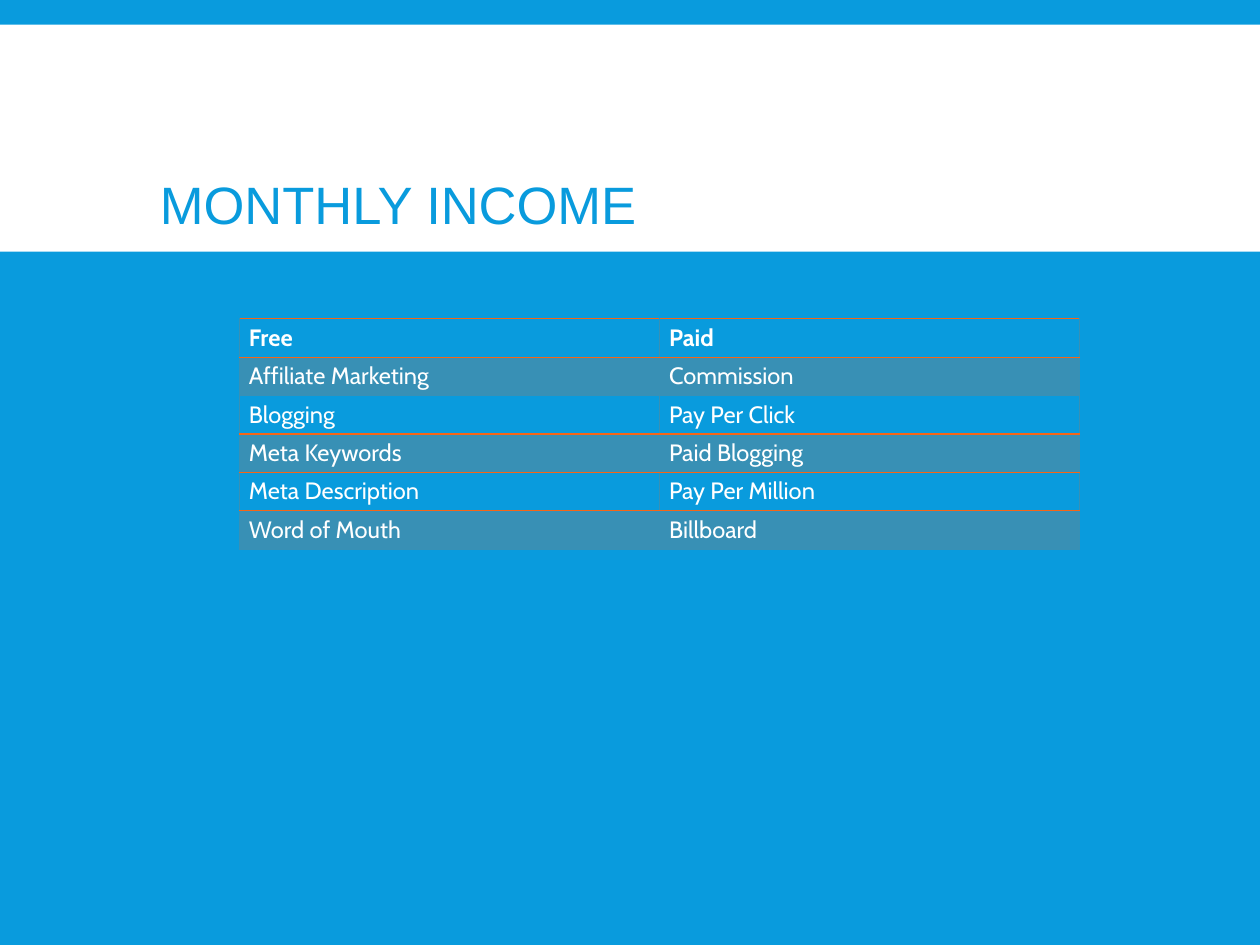
from lxml import etree
from pptx import Presentation
from pptx.dml.color import RGBColor
from pptx.enum.shapes import MSO_SHAPE
from pptx.enum.text import MSO_ANCHOR, PP_ALIGN
from pptx.oxml.ns import qn
from pptx.util import Cm, Pt

RECT = MSO_SHAPE.RECTANGLE
MIDDLE = MSO_ANCHOR.MIDDLE
LEFT = PP_ALIGN.LEFT

BLUE, WHITE, ORANGE, FAINT = "099BDD", "FFFFFF", "F56617", "3890B5"
SLIDE_W, SLIDE_H = 33.83, 25.37
ROW_H = 1.03
INCOME = [
    ("Free", "Paid"),
    ("Affiliate Marketing", "Commission"),
    ("Blogging", "Pay Per Click"),
    ("Meta Keywords", "Paid Blogging"),
    ("Meta Description", "Pay Per Million"),
    ("Word of Mouth", "Billboard"),
]
FAINT_RULES = (2, len(INCOME))


def rgb(color):
    """Turn a hex string into a colour."""
    return RGBColor.from_string(color)


def style_font(p, name, size, color, bold=False):
    """Set the font of a whole paragraph."""
    p.font.name, p.font.size, p.font.bold = name, Pt(size), bold
    p.font.color.rgb = rgb(color)


def add_border(cell, side, color, width):
    """Draw one side of a table cell."""
    ln = etree.SubElement(cell._tc.get_or_add_tcPr(), qn(f"a:ln{side}"), w=str(Pt(width)))
    fill = etree.SubElement(ln, qn("a:solidFill"))
    etree.SubElement(fill, qn("a:srgbClr"), val=color)


def fill_cell(cell, color, opacity):
    """Give a table cell a translucent fill."""
    cell.fill.solid()
    cell.fill.fore_color.rgb = rgb(color)
    clr = cell._tc.tcPr.find(".//" + qn("a:solidFill") + "/" + qn("a:srgbClr") + "[last()]")
    clr = cell._tc.tcPr.find(qn("a:solidFill")).find(qn("a:srgbClr"))
    etree.SubElement(clr, qn("a:alpha"), val=str(opacity * 1000))


def add_header(s, x, y, w, h):
    """Place the white band and the title that sits at its foot."""
    band = s.shapes.add_shape(RECT, Cm(x), Cm(y), Cm(w), Cm(h))
    band.shadow.inherit = False
    band.fill.solid()
    band.fill.fore_color.rgb = rgb(WHITE)
    band.line.fill.background()

    title = s.shapes.title
    band._element.getparent().append(title._element)
    title.left, title.top = Cm(x + 4.04), Cm(y + 2.18)
    title.width, title.height = Cm(26.95), Cm(5.51)
    tf = title.text_frame
    tf.text = "MONTHLY INCOME"
    tf.vertical_anchor = MIDDLE
    p = tf.paragraphs[0]
    p.alignment = LEFT
    p.line_spacing = 0.85
    style_font(p, "Arial", 40, BLUE)


def add_income_table(s, x, y, w):
    """Place the table of free and paid income sources."""
    rows, cols = len(INCOME), len(INCOME[0])
    frame = s.shapes.add_table(rows, cols, Cm(x), Cm(y), Cm(w), Cm(ROW_H * rows))
    table = frame.table
    table.horz_banding = False
    for r, texts in enumerate(INCOME):
        table.rows[r].height = Cm(ROW_H)
        for c, text in enumerate(texts):
            cell = table.cell(r, c)
            cell.text = text
            style_font(cell.text_frame.paragraphs[0], "Cabin", 18, WHITE, bold=r == 0)
            for side in "LR":
                add_border(cell, side, FAINT, 0.5)
            for side, rule in (("T", r), ("B", r + 1)):
                faint = rule in FAINT_RULES
                add_border(cell, side, FAINT if faint else ORANGE, 0.5 if faint else 1)
            if r % 2:
                fill_cell(cell, ORANGE, 20)
            else:
                cell.fill.background()


def main():
    """Build the monthly income slide."""
    prs = Presentation()
    prs.slide_width, prs.slide_height = Cm(SLIDE_W), Cm(SLIDE_H)
    s = prs.slides.add_slide(prs.slide_layouts.get_by_name("Title Only"))
    s.background.fill.solid()
    s.background.fill.fore_color.rgb = rgb(BLUE)
    add_header(s, 0, 0.66, SLIDE_W, 6.1)
    add_income_table(s, 6.43, 8.56, 22.56)
    prs.save("out.pptx")


if __name__ == "__main__":
    main()
